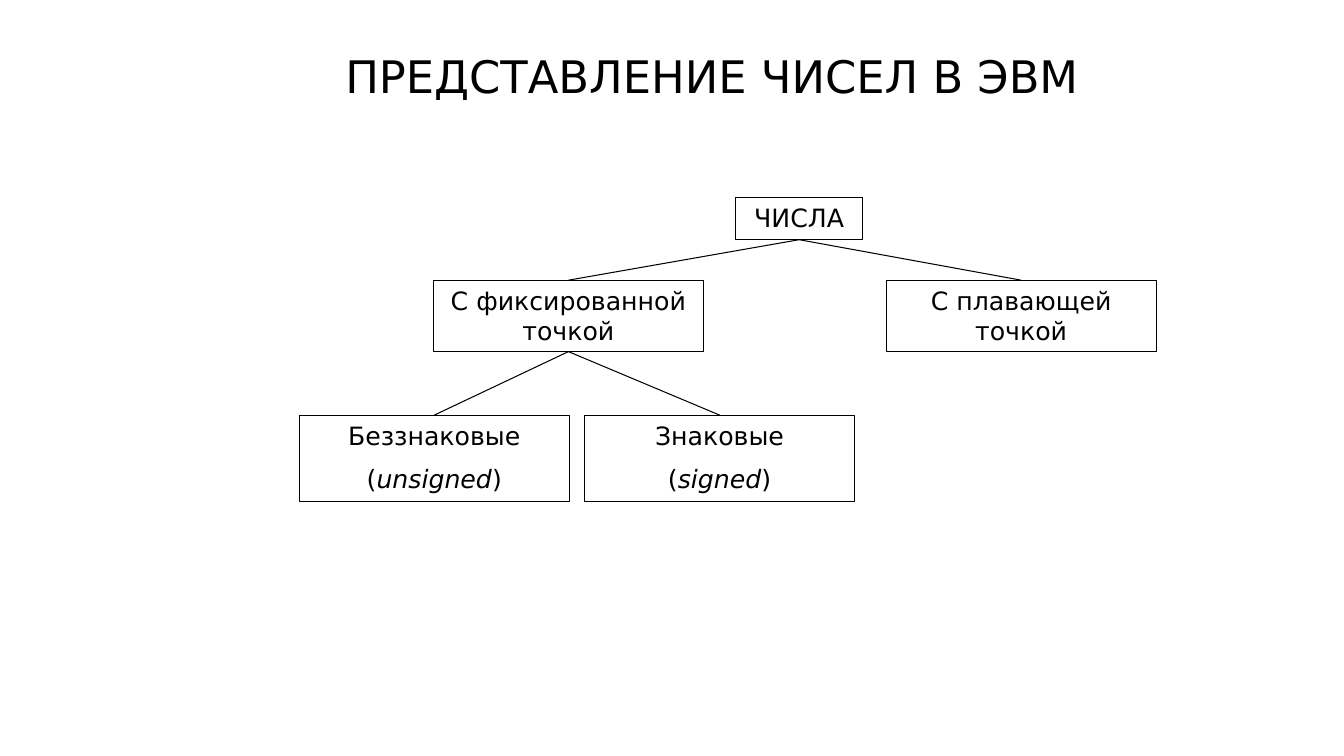
from lxml import etree
from pptx import Presentation
from pptx import util as u
from pptx.dml.color import RGBColor
from pptx.enum import shapes, text
from pptx.oxml.ns import qn


def colour(hex_code):
    return RGBColor.from_string(hex_code)


class NumberTree:
    font = "DejaVu Sans"
    ink = "000000"
    line_width = u.Pt(0.75)
    title_size, node_size = 32, 18

    def __init__(self, page):
        self.page = page

    def add_span(self, para, words, size, italic=False):
        span = para.add_run()
        span.text = words
        span.font.name = self.font
        span.font.size = u.Pt(size)
        span.font.italic = italic
        span.font.color.rgb = colour(self.ink)

    def title(self, words, left, top, width, height):
        box = self.page.shapes.title
        box.left, box.top = u.Cm(left), u.Cm(top)
        box.width, box.height = u.Cm(width), u.Cm(height)
        frame = box.text_frame
        frame.auto_size = text.MSO_AUTO_SIZE.NONE
        frame.vertical_anchor = text.MSO_ANCHOR.BOTTOM
        para = frame.paragraphs[0]
        para.alignment = text.PP_ALIGN.CENTER
        para.line_spacing = 0.9
        self.add_span(para, words, self.title_size)

    def node(self, label, left, top, height, width=6.81, term=None):
        """Add a box; term is an optional second line, in italics within brackets."""
        box = self.page.shapes.add_shape(
            shapes.MSO_SHAPE.RECTANGLE, u.Cm(left), u.Cm(top), u.Cm(width), u.Cm(height))
        box.shadow.inherit = False
        box.fill.background()
        box.line.color.rgb = colour(self.ink)
        box.line.width = self.line_width
        frame = box.text_frame
        frame.word_wrap = True
        frame.auto_size = text.MSO_AUTO_SIZE.SHAPE_TO_FIT_TEXT
        frame.vertical_anchor = text.MSO_ANCHOR.TOP
        para = frame.paragraphs[0]
        para.alignment = text.PP_ALIGN.CENTER
        self.add_span(para, label, self.node_size)
        if term:
            para = frame.add_paragraph()
            para.alignment = text.PP_ALIGN.CENTER
            para.space_before = u.Pt(self.node_size / 2)
            self.add_span(para, "(", self.node_size)
            self.add_span(para, term, self.node_size, italic=True)
            self.add_span(para, ")", self.node_size)
        return box

    def branch(self, parent, *children):
        for child in children:
            link = self.page.shapes.add_connector(shapes.MSO_CONNECTOR.STRAIGHT, 0, 0, 0, 0)
            link.begin_connect(parent, 2)
            link.end_connect(child, 0)
            link.line.color.rgb = colour(self.ink)
            link.line.width = self.line_width
            etree.SubElement(link._element.spPr, qn("a:effectLst"))


def main():
    deck = Presentation()
    deck.slide_width, deck.slide_height = u.Cm(33.87), u.Cm(19.05)
    tree = NumberTree(deck.slides.add_slide(deck.slide_layouts[5]))

    tree.title("ПРЕДСТАВЛЕНИЕ ЧИСЕЛ В ЭВМ ", 7.92, 0.91, 20.42, 1.83)
    numbers = tree.node("ЧИСЛА", 18.54, 4.98, 1.06, width=3.2)
    fixed = tree.node("С фиксированной точкой", 10.92, 7.06, 1.8)
    floating = tree.node("С плавающей точкой", 22.33, 7.06, 1.8)
    unsigned = tree.node("Беззнаковые", 7.54, 10.46, 2.18, term="unsigned")
    signed = tree.node("Знаковые", 14.73, 10.46, 2.18, term="signed")

    tree.branch(numbers, fixed, floating)
    tree.branch(fixed, unsigned, signed)
    deck.save("out.pptx")


if __name__ == "__main__":
    main()
